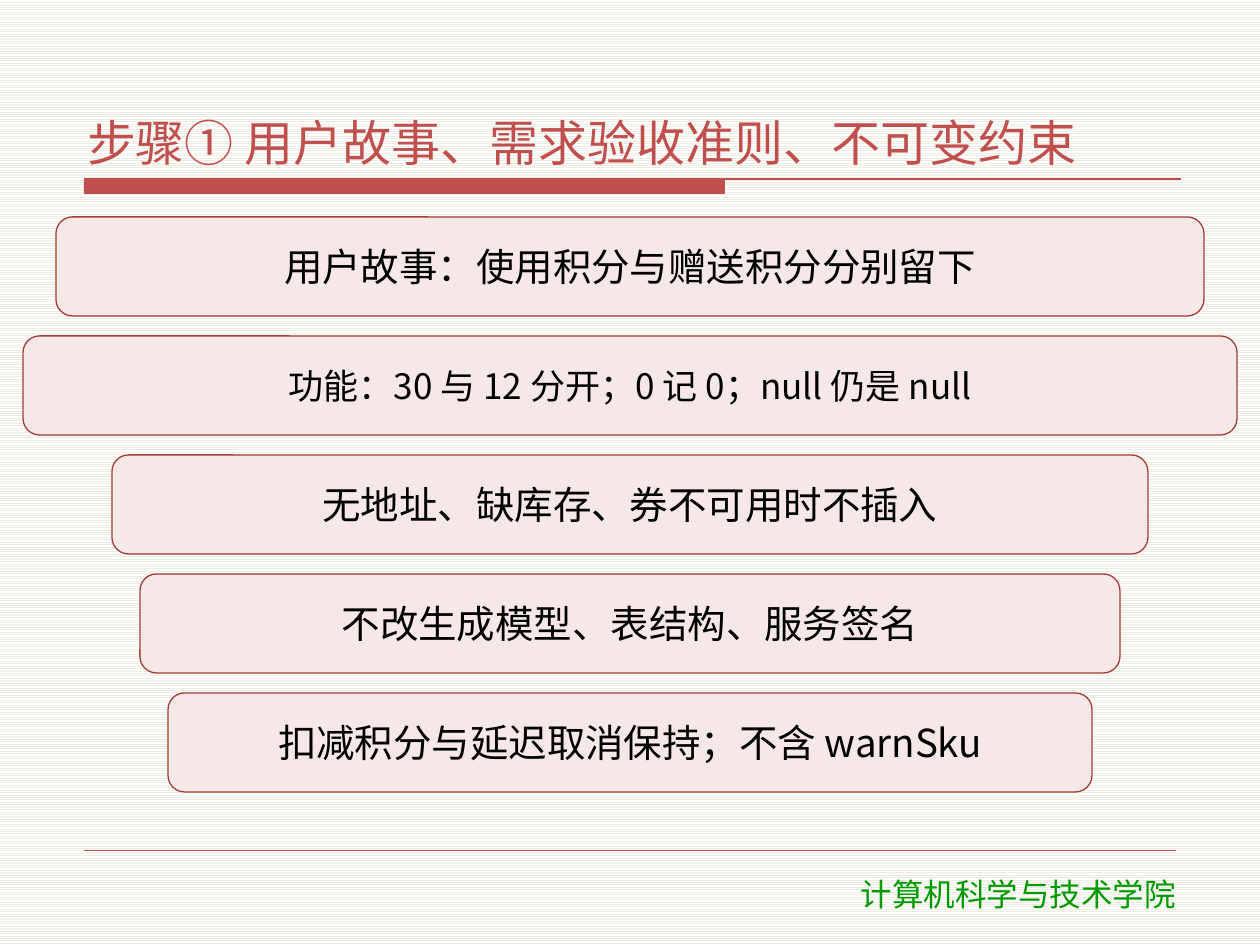
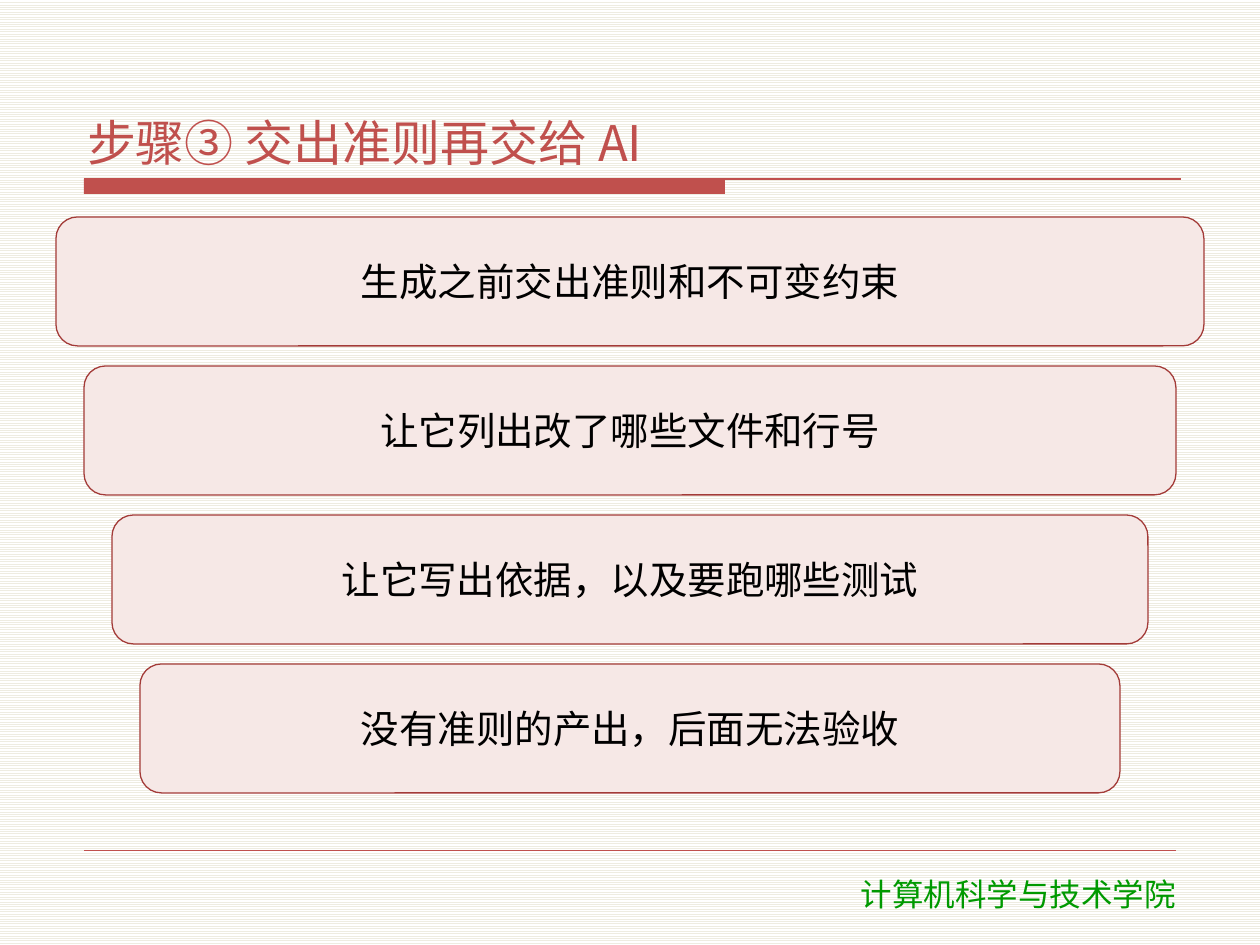
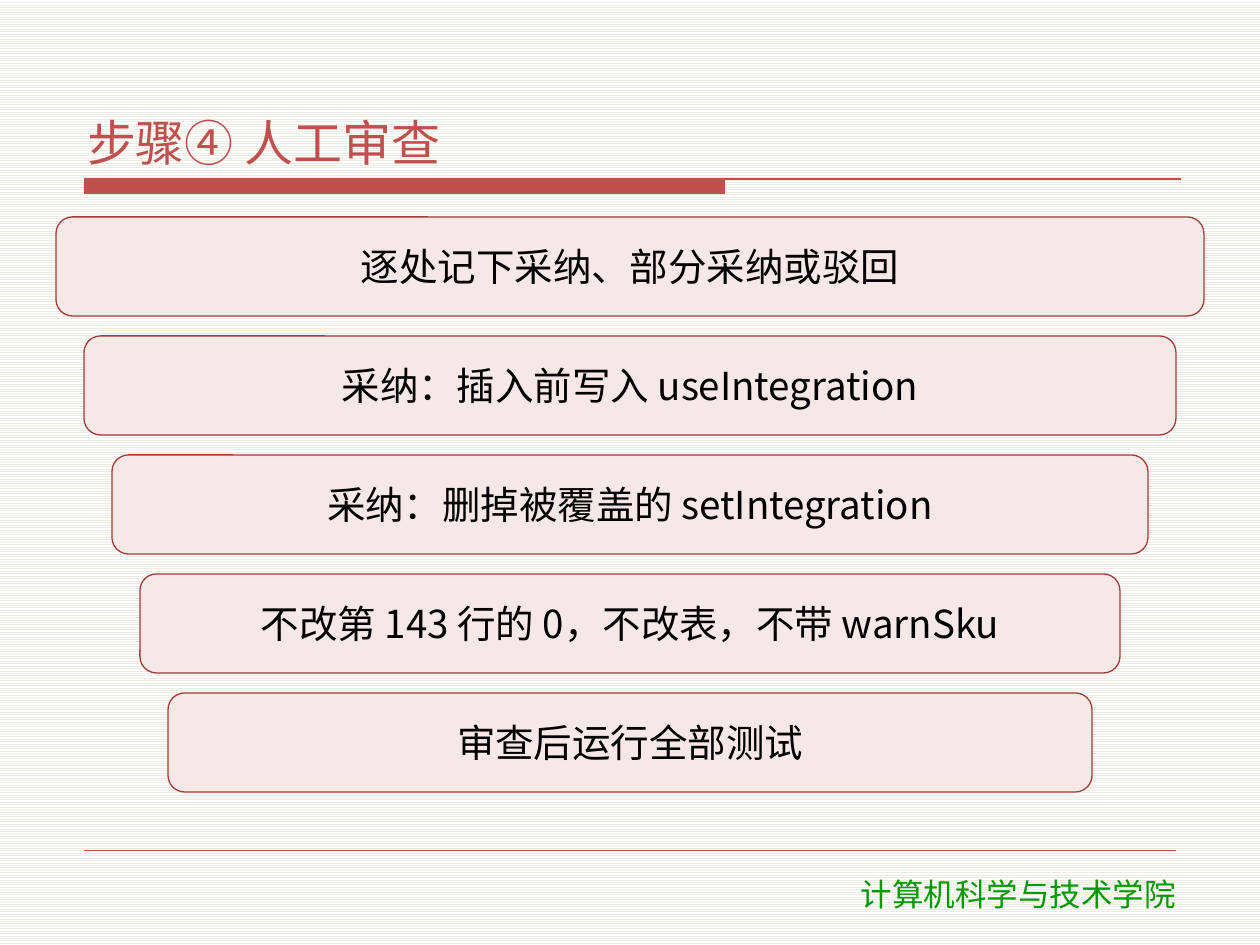
from pptx import Presentation, util as u
from pptx.dml.color import RGBColor
from pptx.enum import dml, shapes, text
from pptx.oxml.ns import qn

PX = 914400 / 126
HUES = {"red": "C0504D", "edge": "A33B38", "pink": "F6E8E6", "ink": "000000",
        "green": "009900", "stripe": "EEECE1", "white": "FFFFFF"}
SANS, BODY = "DejaVu Sans", "Noto Sans CJK SC"
SCHOOL = "计算机科学与技术学院"
TOP, DEPTH, GAP = 217, 576, 20
LEFT, STEP, WIDE = 56, 28, 1260

# Each step: title, then its cards; a card may set its own left edge, text size and side inset.
STEPS = [
    ("步骤① 用户故事、需求验收准则、不可变约束", [
        ("用户故事：使用积分与赠送积分分别留下", {}),
        ("功能：30 与 12 分开；0 记 0；null 仍是 null", {"left": 23, "size": 20, "side": 3}),
        ("无地址、缺库存、券不可用时不插入", {}),
        ("不改生成模型、表结构、服务签名", {}),
        ("扣减积分与延迟取消保持；不含 warnSku", {}),
    ]),
    ("步骤③ 交出准则再交给 AI", [
        ("生成之前交出准则和不可变约束", {}),
        ("让它列出改了哪些文件和行号", {}),
        ("让它写出依据，以及要跑哪些测试", {}),
        ("没有准则的产出，后面无法验收", {}),
    ]),
    ("步骤④ 人工审查", [
        ("逐处记下采纳、部分采纳或驳回", {}),
        ("采纳：插入前写入 useIntegration", {}),
        ("采纳：删掉被覆盖的 setIntegration", {}),
        ("不改第 143 行的 0，不改表，不带 warnSku", {}),
        ("审查后运行全部测试", {}),
    ]),
]


def px(*vals):
    return [u.Emu(round(v * PX)) for v in vals]


def hue(name):
    return RGBColor.from_string(HUES[name])


class Deck:
    """Holds the style and the current slide."""

    def __init__(self):
        self.prs = Presentation()
        self.prs.slide_width, self.prs.slide_height = px(WIDE, 945)

    def page(self, title):
        """Start a slide with the backdrop, title, bands and footer."""
        self.slide = self.prs.slides.add_slide(self.prs.slide_layouts[6])
        back = self.slide.background.fill
        back.patterned()
        back.pattern = dml.MSO_PATTERN.LIGHT_HORIZONTAL
        back.fore_color.rgb = hue("stripe")
        back.back_color.rgb = hue("white")
        self.block("RECTANGLE", (84, 179, 641, 15), "red")
        self.rule(84, 1181, 179, 0.75)
        self.rule(84, 1176, 850, 0.25)
        foot = self.label((765, 869, 507, 50))
        self.put(foot, SCHOOL, 18, "green", SANS, "CENTER", "TOP", (13, 6))
        foot.text_frame.auto_size = text.MSO_AUTO_SIZE.SHAPE_TO_FIT_TEXT
        head = self.label((79, 42, 1103, 132))
        self.put(head, title, 28, "red", BODY, "LEFT", "BOTTOM", after=2)

    def block(self, kind, box, fill, edge=None):
        shape = self.slide.shapes.add_shape(getattr(shapes.MSO_SHAPE, kind), *px(*box))
        shape.shadow.inherit = False
        shape.fill.solid()
        shape.fill.fore_color.rgb = hue(fill)
        if edge:
            shape.line.color.rgb = hue(edge)
            shape.line.width = u.Pt(0.75)
        else:
            shape.line.fill.background()
        return shape

    def rule(self, left, right, y, width):
        line = self.slide.shapes.add_connector(
            shapes.MSO_CONNECTOR.STRAIGHT, *px(left, y, right, y))
        line.line.color.rgb = hue("red")
        line.line.width = u.Pt(width)
        props = line._element.spPr
        props.append(props.makeelement(qn("a:effectLst"), {}))

    def label(self, box):
        return self.slide.shapes.add_textbox(*px(*box))

    def put(self, shape, words, size, color, face, align, anchor, inset=(8, 3), after=0):
        """Set one run of text in a shape, for Latin and East Asian letters alike."""
        frame = shape.text_frame
        frame.word_wrap = True
        frame.vertical_anchor = getattr(text.MSO_ANCHOR, anchor)
        frame.margin_left, frame.margin_top = px(*inset)
        frame.margin_right, frame.margin_bottom = px(*inset)
        para = frame.paragraphs[0]
        para.alignment = getattr(text.PP_ALIGN, align)
        para.space_after = u.Pt(after)
        run = para.add_run()
        run.text = words
        font = run.font
        font.name, font.size = face, u.Pt(size)
        font.color.rgb = hue(color)
        props = run._r.get_or_add_rPr()
        props.append(props.makeelement(qn("a:ea"), {"typeface": face}))

    def cards(self, items):
        """Stack centred cards, each one step narrower, in a fixed depth."""
        high = (DEPTH - GAP * (len(items) - 1)) // len(items)
        for i, (words, opts) in enumerate(items):
            left = opts.get("left", LEFT + i * STEP)
            box = (left, TOP + i * (high + GAP), WIDE - 2 * left, high)
            card = self.block("ROUNDED_RECTANGLE", box, "pink", "edge")
            self.put(card, words, opts.get("size", 22), "ink", BODY, "CENTER",
                     "MIDDLE", (opts.get("side", 8), 3), after=2)


def main():
    deck = Deck()
    for title, items in STEPS:
        deck.page(title)
        deck.cards(items)
    deck.prs.save("out.pptx")


if __name__ == "__main__":
    main()
